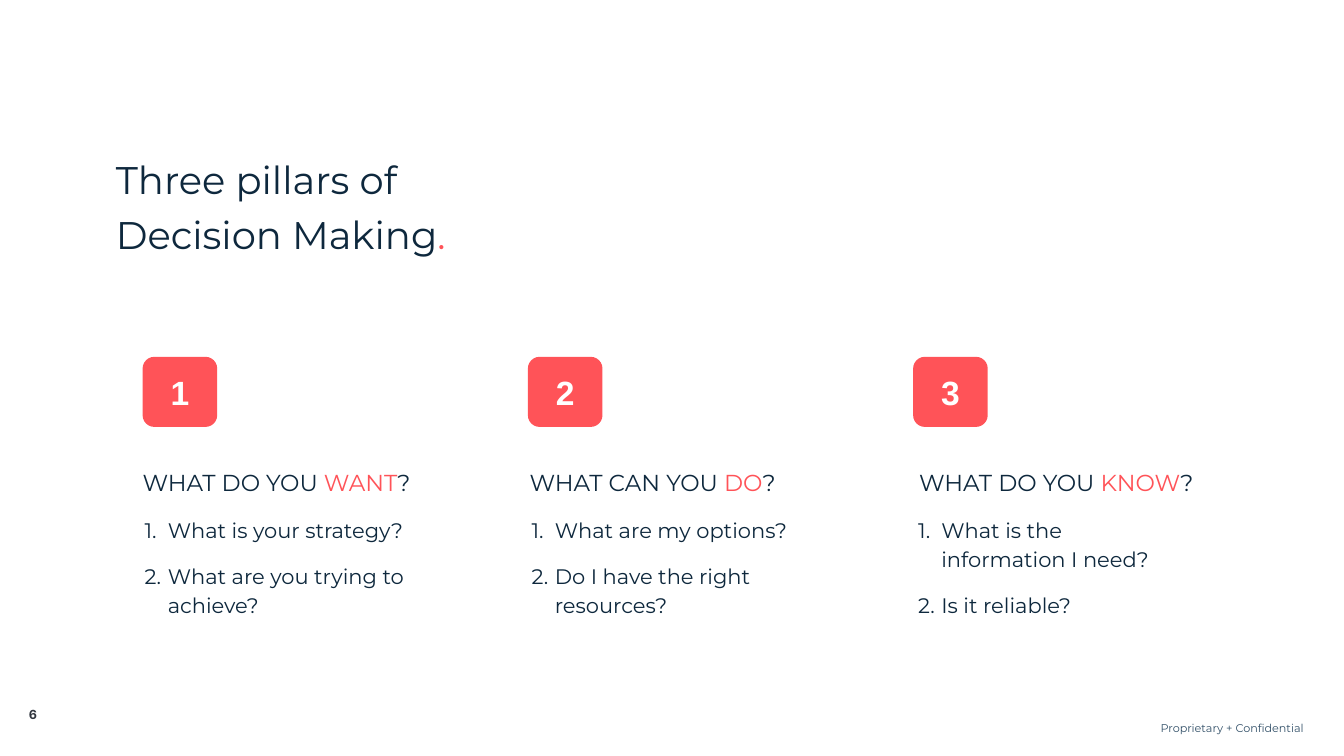
"""Build the slide on the three pillars of decision making."""
import lxml.etree
import pptx
import pptx.dml.color
import pptx.enum.shapes
import pptx.enum.text
import pptx.oxml.ns
import pptx.util

Inches = pptx.util.Inches
Pt = pptx.util.Pt
ALIGN = pptx.enum.text.PP_ALIGN
COLORS = {"navy": "0E283D", "coral": "FF5358", "slate": "335169", "charcoal": "30353E", "white": "FFFFFF"}
MARGINS = ("margin_left", "margin_top", "margin_right", "margin_bottom")
GROW = pptx.enum.text.MSO_AUTO_SIZE.SHAPE_TO_FIT_TEXT

FORMATS = {
    "footer": {"size": Pt(16), "name": "Montserrat"},
    "number": {"size": Pt(18), "name": "Inter", "bold": True},
    "title": {"size": Pt(55), "name": "Montserrat"},
    "heading": {"size": Pt(33), "name": "Montserrat"},
    "question": {"size": Pt(30), "name": "Montserrat"},
    "badge": {"size": Pt(48), "name": "Arial", "bold": True},
}


def add_box(left, top, width, height, inset=0, auto_size=GROW):
    box = page.shapes.add_textbox(Inches(left), Inches(top), Inches(width), Inches(height))
    frame = box.text_frame
    frame.word_wrap = True
    frame.auto_size = auto_size
    for margin in MARGINS:
        setattr(frame, margin, Inches(inset))
    return frame


def write(para, style, pieces, **layout):
    for key, value in layout.items():
        setattr(para, key, value)
    for words, color in pieces:
        span = para.add_run()
        span.text = words
        for key, value in FORMATS[style].items():
            setattr(span.font, key, value)
        span.font.color.rgb = pptx.dml.color.RGBColor.from_string(COLORS[color])


deck = pptx.Presentation()
deck.slide_width = Inches(26.67)
deck.slide_height = Inches(15)
page = deck.slides.add_slide(deck.slide_layouts[6])

footer = add_box(21.35, 14.22, 4.62, 0.35, 0.1, pptx.enum.text.MSO_AUTO_SIZE.NONE)
write(footer.paragraphs[0], "footer", [("Proprietary + Confidential", "slate")], alignment=ALIGN.RIGHT)

page_number = add_box(0.32, 14.02, 0.67, 0.3)
write(page_number.paragraphs[0], "number", [("6", "charcoal")], alignment=ALIGN.CENTER)

title = add_box(2.3, 2.91, 8.71, 2.04)
write(title.paragraphs[0], "title", [("Three pillars of Decision Making", "navy"), (".", "coral")], line_spacing=1.2)

pillars = [
    ("WHAT DO YOU ", "WANT", 2.83, 2.83, 6.05,
     ["What is your strategy?", "What are you trying to achieve?"]),
    ("WHAT CAN YOU ", "DO", 10.51, 10.51, 6.05,
     ["What are my options?", "Do I have the right resources?"]),
    ("WHAT DO YOU ", "KNOW", 18.24, 18.18, 5.32,
     ["What is the information I need?", "Is it reliable?"]),
]

for index, (opening, keyword, heading_left, list_left, list_width, questions) in enumerate(pillars):
    badge = page.shapes.add_shape(
        pptx.enum.shapes.MSO_SHAPE.ROUNDED_RECTANGLE,
        Inches(2.83 + 7.645 * index), Inches(7.08), Inches(1.48), Inches(1.39))
    badge.shadow.inherit = False
    badge.fill.solid()
    badge.fill.fore_color.rgb = pptx.dml.color.RGBColor.from_string(COLORS["coral"])
    badge.line.fill.background()
    badge.text_frame.vertical_anchor = pptx.enum.text.MSO_ANCHOR.MIDDLE
    for margin in MARGINS:
        setattr(badge.text_frame, margin, Inches(0.1))
    write(badge.text_frame.paragraphs[0], "badge", [(str(index + 1), "white")], alignment=ALIGN.CENTER)

    heading = add_box(heading_left, 9.02, 7.65, 0.56)
    write(heading.paragraphs[0], "heading",
          [(opening, "navy"), (keyword, "coral"), ("?", "navy")], line_spacing=1.5)

    question_list = add_box(list_left, 10.19, list_width, 2.02)
    for position, question in enumerate(questions):
        para = question_list.add_paragraph() if position else question_list.paragraphs[0]
        properties = para._p.get_or_add_pPr()
        properties.set("marL", str(Inches(0.5)))
        properties.set("indent", str(Inches(-0.46)))
        bullet_color = lxml.etree.SubElement(properties, pptx.oxml.ns.qn("a:buClr"))
        lxml.etree.SubElement(bullet_color, pptx.oxml.ns.qn("a:srgbClr"), val=COLORS["navy"])
        lxml.etree.SubElement(properties, pptx.oxml.ns.qn("a:buFont"), typeface="Montserrat")
        lxml.etree.SubElement(properties, pptx.oxml.ns.qn("a:buAutoNum"), type="arabicPeriod")
        gap = Pt(25 if position else 0)
        write(para, "question", [(question, "navy")], line_spacing=1.15, space_before=gap, space_after=gap)

deck.save("out.pptx")
